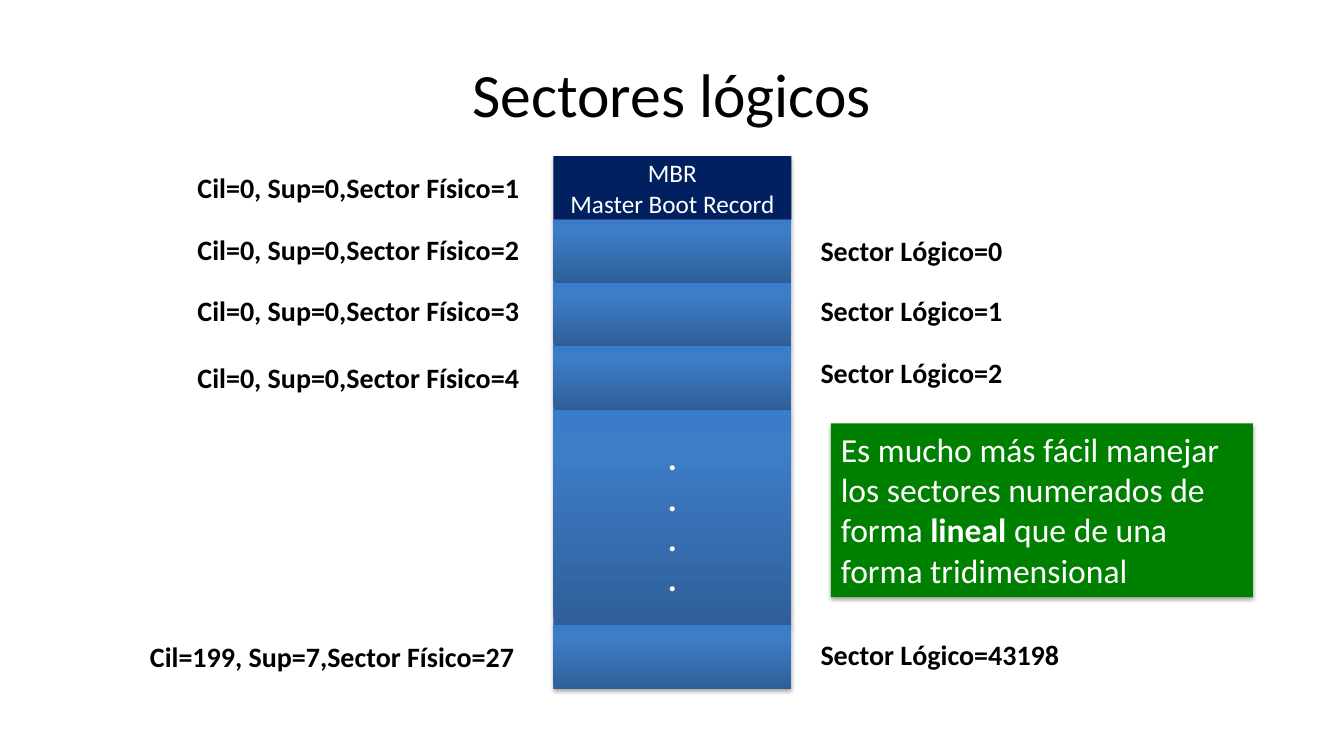
from lxml import etree
from pptx import Presentation
from pptx.dml.color import RGBColor
from pptx.enum import shapes, text
from pptx.oxml import parse_xml
from pptx.oxml.ns import nsdecls, qn
from pptx.util import Pt

FONT = "Calibri"
COLORS = {"ink": "000000", "paper": "FFFFFF", "boot": "002060", "note": "008000"}
GRADIENT = [(0, "2F5F99"), (80, "3D7CC7"), (100, "3A7CCB")]

TITLE = "Sectores lógicos"
ROW = 45.3
# height, lines, text size, bold, solid colour (None for the gradient)
SECTORS = [
    (ROW, ["MBR", "Master Boot Record"], 18, False, "boot"),
    (ROW, [], 18, False, None),
    (ROW, [], 18, False, None),
    (ROW, [], 18, False, None),
    (154, ["."] * 4, 24, True, None),
    (ROW, [], 18, False, None),
]
# left, top, width, wording
PHYSICAL = [
    (134, 118, 247, "Cil=0, Sup=0,Sector Físico=1"),
    (134, 162.7, 247, "Cil=0, Sup=0,Sector Físico=2"),
    (134, 206, 247, "Cil=0, Sup=0,Sector Físico=3"),
    (134, 254, 247, "Cil=0, Sup=0,Sector Físico=4"),
    (100, 453, 281, "Cil=199, Sup=7,Sector Físico=27"),
]
LOGICAL = [
    (579, 163.5, 145.5, "Sector Lógico=0"),
    (579, 206, 145.5, "Sector Lógico=1"),
    (579, 250.5, 145.5, "Sector Lógico=2"),
    (579, 451.5, 186.5, "Sector Lógico=43198"),
]
NOTE = [
    ("Es mucho más fácil manejar los sectores numerados de forma ", False),
    ("lineal", True),
    (" que de una forma tridimensional", False),
]
COLUMN_LEFT, COLUMN_TOP, COLUMN_WIDTH = 395.3, 111.6, 170


def rgb(name):
    return RGBColor.from_string(COLORS[name])


def add_span(para, wording, size, color, bold=False):
    span = para.add_run()
    span.text = wording
    span.font.name = FONT
    span.font.size = Pt(size)
    span.font.bold = bold
    span.font.color.rgb = rgb(color)


def fill_gradient(box):
    box.fill.gradient()
    box.fill.gradient_angle = 90
    stops = box._element.spPr.find(qn("a:gradFill")).find(qn("a:gsLst"))
    for stop in list(stops):
        stops.remove(stop)
    for percent, color in GRADIENT:
        stop = etree.SubElement(stops, qn("a:gs"), pos=str(percent * 1000))
        etree.SubElement(stop, qn("a:srgbClr"), val=color)


def add_block(page, left, top, width, height, color=None):
    """Add a borderless rectangle with a soft shadow below it."""
    box = page.shapes.add_shape(shapes.MSO_SHAPE.RECTANGLE,
                                Pt(left), Pt(top), Pt(width), Pt(height))
    if color:
        box.fill.solid()
        box.fill.fore_color.rgb = rgb(color)
    else:
        fill_gradient(box)
    box.line.fill.background()
    box.shadow.inherit = False
    box._element.spPr.find(qn("a:effectLst")).append(parse_xml(
        f'<a:outerShdw {nsdecls("a")} blurRad="{Pt(3.1)}" dist="{Pt(1.8)}" '
        'dir="5400000" rotWithShape="0"><a:srgbClr val="000000">'
        '<a:alpha val="35000"/></a:srgbClr></a:outerShdw>'))
    return box


def add_label(page, left, top, width, wording, wrap):
    box = page.shapes.add_textbox(Pt(left), Pt(top), Pt(width), Pt(31.5))
    box.text_frame.word_wrap = wrap
    box.text_frame.auto_size = text.MSO_AUTO_SIZE.SHAPE_TO_FIT_TEXT
    add_span(box.text_frame.paragraphs[0], wording, 20, "ink", True)


def add_sectors(page):
    top = COLUMN_TOP
    for height, lines, size, bold, color in SECTORS:
        box = add_block(page, COLUMN_LEFT, top, COLUMN_WIDTH, height, color)
        frame = box.text_frame
        frame.vertical_anchor = text.MSO_ANCHOR.MIDDLE
        for index, line in enumerate(lines):
            para = frame.add_paragraph() if index else frame.paragraphs[0]
            para.alignment = text.PP_ALIGN.CENTER
            add_span(para, line, size, "paper", bold)
        top += height


def add_note(page):
    box = add_block(page, 593.5, 302.5, 301.5, 124, "note")
    frame = box.text_frame
    frame.vertical_anchor = text.MSO_ANCHOR.TOP
    frame.auto_size = text.MSO_AUTO_SIZE.SHAPE_TO_FIT_TEXT
    para = frame.paragraphs[0]
    para.alignment = text.PP_ALIGN.LEFT
    for wording, bold in NOTE:
        add_span(para, wording, 24, "paper", bold)


def add_title(page):
    title = page.shapes.title
    title.left, title.top, title.width, title.height = Pt(48), Pt(21.6), Pt(864), Pt(90)
    title.text_frame.vertical_anchor = text.MSO_ANCHOR.MIDDLE
    para = title.text_frame.paragraphs[0]
    para.alignment = text.PP_ALIGN.CENTER
    add_span(para, TITLE, 44, "ink")


def main():
    deck = Presentation()
    deck.slide_width, deck.slide_height = Pt(960), Pt(540)
    page = deck.slides.add_slide(deck.slide_layouts[5])
    add_title(page)
    add_sectors(page)
    for labels, wrap in ((PHYSICAL, True), (LOGICAL, False)):
        for label in labels:
            add_label(page, *label, wrap)
    add_note(page)
    deck.save("out.pptx")


if __name__ == "__main__":
    main()
